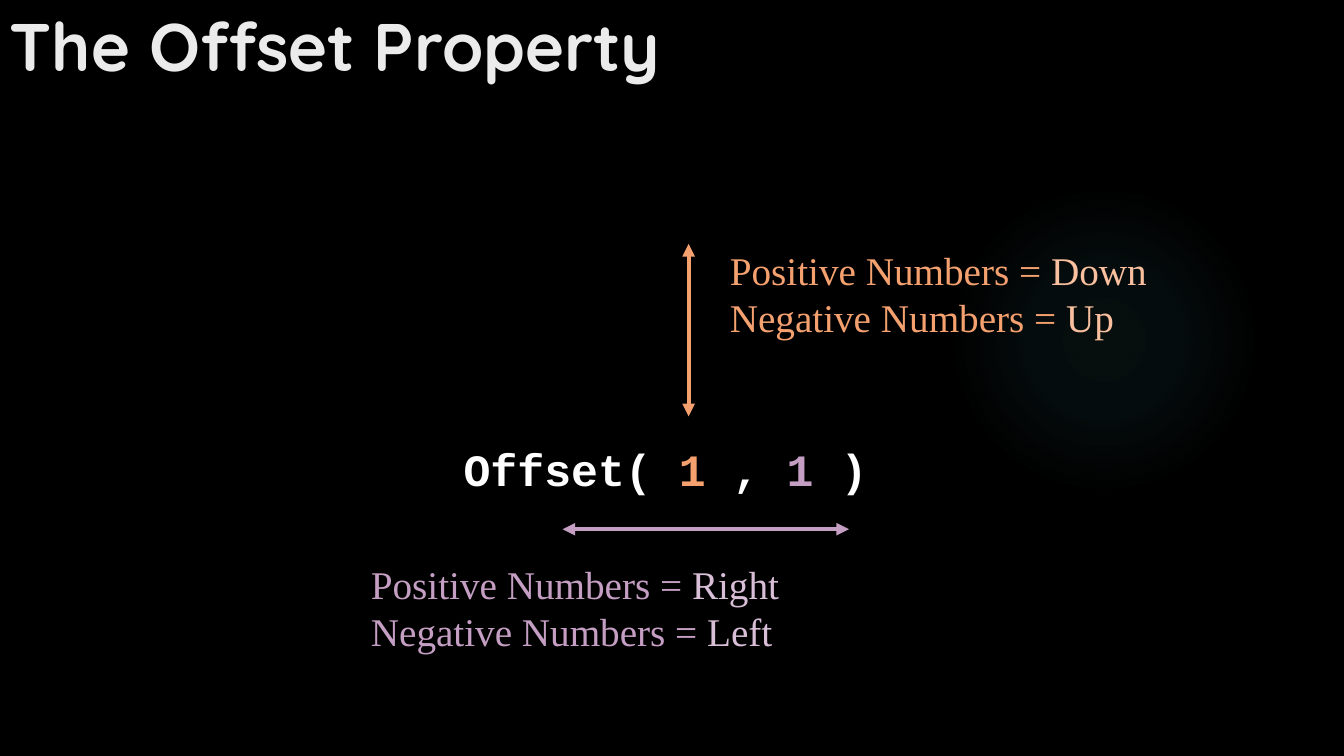
from dataclasses import dataclass

from lxml import etree
from pptx import Presentation
from pptx.dml.color import RGBColor
from pptx.enum.shapes import MSO_CONNECTOR as CONN, MSO_SHAPE as SHAPE
from pptx.enum.text import MSO_ANCHOR as ANCHOR
from pptx.oxml import parse_xml
from pptx.oxml.ns import nsdecls, qn
from pptx.slide import Slide
from pptx.util import Inches, Pt

COLORS = {
    "background": "000000",
    "title": "EBEBEB",
    "code": "FFFFFF",
    "rows": "F4A16F",
    "rows_light": "F8C09F",
    "columns": "C59EC3",
    "columns_light": "D9BED7",
    "glow": "50B9C1",
}

Point = tuple[float, float]
Box = tuple[float, float, float, float]
Run = tuple[str, str]  # text, color name


@dataclass
class Axis:
    color: str
    start: Point
    end: Point
    label_box: Box
    positive: str
    negative: str


AXES = [
    Axis("rows", (6.83, 2.42), (6.83, 4.13), (7.14, 2.39, 4.38, 1.04), "Down", "Up"),
    Axis("columns", (8.42, 5.25), (5.58, 5.25), (3.58, 5.51, 4.29, 1.04), "Right", "Left"),
]


def rgb(name: str) -> RGBColor:
    return RGBColor.from_string(COLORS[name])


def add_text(s: Slide, box: Box, lines: list[list[Run]], *, font: str, size: float,
             bold: bool = False, wrap: bool = True) -> None:
    tf = s.shapes.add_textbox(*map(Inches, box)).text_frame
    tf.word_wrap = wrap
    tf.vertical_anchor = ANCHOR.TOP
    for i, runs in enumerate(lines):
        p = tf.add_paragraph() if i else tf.paragraphs[0]
        for text, color in runs:
            r = p.add_run()
            r.text = text
            r.font.name = font
            r.font.size = Pt(size)
            r.font.bold = bold
            r.font.color.rgb = rgb(color)


def add_glow(s: Slide, box: Box) -> None:
    sp = s.shapes.add_shape(SHAPE.OVAL, *map(Inches, box))
    sp.shadow.inherit = False
    sp.line.fill.background()
    stops = "".join(
        f'<a:gs pos="{pos * 1000}"><a:srgbClr val="{COLORS["glow"]}">'
        f'<a:alpha val="{alpha * 1000}"/></a:srgbClr></a:gs>'
        for pos, alpha in [(0, 7), (36, 6), (69, 0)]
    )
    grad = parse_xml(
        f'<a:gradFill {nsdecls("a")}><a:gsLst>{stops}</a:gsLst><a:path path="circle">'
        '<a:fillToRect l="50000" t="50000" r="50000" b="50000"/></a:path></a:gradFill>'
    )
    sp._element.spPr.find(qn("a:prstGeom")).addnext(grad)


def add_double_arrow(s: Slide, start: Point, end: Point, color: str) -> None:
    line = s.shapes.add_connector(CONN.STRAIGHT, *map(Inches, start + end))
    line.line.color.rgb = rgb(color)
    line.line.width = Pt(3)
    ln = line.line._get_or_add_ln()
    for tag in ("a:headEnd", "a:tailEnd"):
        etree.SubElement(ln, qn(tag), type="triangle")
    etree.SubElement(line._element.spPr, qn("a:effectLst"))


def add_axis(s: Slide, axis: Axis) -> None:
    add_double_arrow(s, axis.start, axis.end, axis.color)
    lines = [
        [(f"{sign} Numbers = ", axis.color), (direction, f"{axis.color}_light")]
        for sign, direction in [("Positive", axis.positive), ("Negative", axis.negative)]
    ]
    add_text(s, axis.label_box, lines, font="Times New Roman", size=28, wrap=False)


def main() -> None:
    prs = Presentation()
    prs.slide_width, prs.slide_height = Inches(13.33), Inches(7.5)
    s = prs.slides.add_slide(prs.slide_layouts[6])

    # Background
    s.background.fill.solid()
    s.background.fill.fore_color.rgb = rgb("background")
    add_glow(s, (9.41, 1.83, 3.08, 3.08))

    # Title
    add_text(s, (0, -0.01, 10.29, 1.53), [[("The Offset Property", "title")]],
             font="Quicksand", size=48, bold=True)

    # Code
    code = [("Offset( ", "code"), ("1 ", "rows"), (", ", "code"),
            ("1 ", "columns"), (")", "code")]
    add_text(s, (4.5, 4.33, 4.83, 1.18), [code], font="Courier New", size=32, bold=True)

    # Directions
    for axis in AXES:
        add_axis(s, axis)

    prs.save("out.pptx")


if __name__ == "__main__":
    main()
